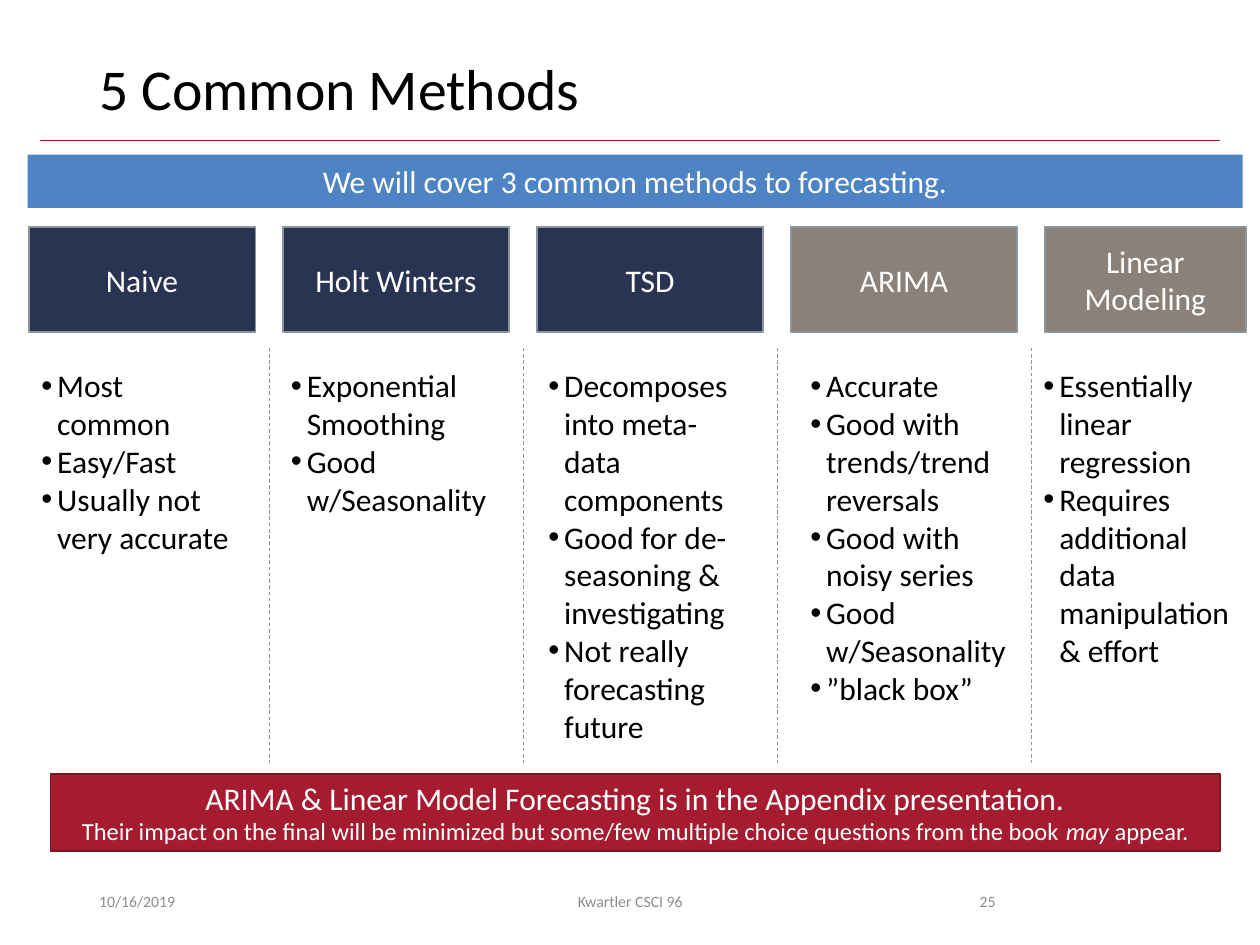
from copy import deepcopy
from dataclasses import dataclass

from lxml import etree
from pptx import Presentation
from pptx.dml.color import RGBColor
from pptx.enum.dml import MSO_LINE
from pptx.enum.shapes import MSO_CONNECTOR, MSO_SHAPE
from pptx.enum.text import MSO_ANCHOR, MSO_AUTO_SIZE, PP_ALIGN
from pptx.oxml.ns import qn
from pptx.util import Cm, Pt

LEFT, CENTER, RIGHT = PP_ALIGN.LEFT, PP_ALIGN.CENTER, PP_ALIGN.RIGHT
MIDDLE, TOP = MSO_ANCHOR.MIDDLE, MSO_ANCHOR.TOP
GROW, NO_FIT = MSO_AUTO_SIZE.SHAPE_TO_FIT_TEXT, MSO_AUTO_SIZE.NONE
DASH = MSO_LINE.DASH
RECT, STRAIGHT = MSO_SHAPE.RECTANGLE, MSO_CONNECTOR.STRAIGHT
TITLE_AND_CONTENT = 1


@dataclass(frozen=True)
class Theme:
    font: str = "Calibri"
    black: str = "000000"
    white: str = "FFFFFF"
    blue: str = "4E84C4"
    navy: str = "293352"
    taupe: str = "8C8179"
    steel: str = "8996A0"
    crimson: str = "A51C30"
    dark_crimson: str = "7A1524"
    muted: str = "8C8C8C"
    title: float = 33
    body: float = 18
    note: float = 14
    footer: float = 9


T = Theme()

# Column grid, in centimetres
COL_LEFT, COL_PITCH, COL_WIDTH = 0.58, 5.12, 4.57
LIST_WIDTH, LIST_TOP, BULLET_INDENT = 4.55, 7.26, 0.32
DIVIDER_LEFT = 5.43

# Heading, fill, heading width, list left, list height, bullets
METHODS = [
    ("Naive", T.navy, COL_WIDTH, 0.58, 4.88,
     ["Most common", "Easy/Fast", "Usually not very accurate"]),
    ("Holt Winters", T.navy, COL_WIDTH, 5.61, 3.33,
     ["Exponential Smoothing", "Good w/Seasonality"]),
    ("TSD", T.navy, COL_WIDTH, 10.8, 7.95,
     ["Decomposes into meta-data components",
      "Good for de-seasoning & investigating",
      "Not really forecasting future"]),
    ("ARIMA", T.taupe, COL_WIDTH, 16.08, 7.19,
     ["Accurate", "Good with trends/trend reversals",
      "Good with noisy series", "Good w/Seasonality", "”black box”"]),
    ("Linear Modeling", T.taupe, 4.06, 20.78, 6.4,
     ["Essentially linear regression",
      "Requires additional data manipulation & effort"]),
]

FOOTERS = [
    ("10/16/2019", 1.75, 5.72, LEFT),
    ("Kwartler CSCI 96", 8.41, 8.59, CENTER),
    ("25", 17.93, 2.39, RIGHT),
]


def rgb(color):
    return RGBColor.from_string(color)


def place(sp, left, top, width, height):
    sp.left, sp.top, sp.width, sp.height = map(Cm, (left, top, width, height))


def add_run(p, text, size, color, italic=None):
    r = p.add_run()
    r.text = text
    r.font.name = T.font
    r.font.size = Pt(size)
    r.font.color.rgb = rgb(color)
    r.font.italic = italic


def set_up_frame(sp, anchor, fit=NO_FIT):
    tf = sp.text_frame
    tf.word_wrap = True
    tf.auto_size = fit
    tf.vertical_anchor = anchor
    return tf


def set_bullet(p):
    pPr = p._p.get_or_add_pPr()
    pPr.set("marL", str(Cm(BULLET_INDENT)))
    pPr.set("indent", str(-Cm(BULLET_INDENT)))
    etree.SubElement(pPr, qn("a:buFont")).set("typeface", "Arial")
    etree.SubElement(pPr, qn("a:buChar")).set("char", "•")


def add_title(slide, text):
    sp = slide.shapes.title
    place(sp, 1.75, 1.02, 21.89, 1.65)
    p = set_up_frame(sp, MIDDLE).paragraphs[0]
    p.alignment = LEFT
    p.line_spacing = 0.9
    add_run(p, text, T.title, T.black)


def add_line(slide, x1, y1, x2, y2, color, dash=None):
    line = slide.shapes.add_connector(STRAIGHT, Cm(x1), Cm(y1), Cm(x2), Cm(y2))
    line.line.color.rgb = rgb(color)
    line.line.width = Pt(0.5)
    if dash:
        line.line.dash_style = dash
    etree.SubElement(line._element.spPr, qn("a:effectLst"))


def add_box(slide, box, fill, border, paragraphs):
    """Filled rectangle; each paragraph is a list of (text, size, italic) runs."""
    sp = slide.shapes.add_shape(RECT, *map(Cm, box))
    sp.shadow.inherit = False
    sp.fill.solid()
    sp.fill.fore_color.rgb = rgb(fill)
    if border:
        sp.line.color.rgb = rgb(border)
        sp.line.width = Pt(1)
    else:
        sp.line.fill.background()
    tf = set_up_frame(sp, MIDDLE)
    for i, runs in enumerate(paragraphs):
        p = tf.add_paragraph() if i else tf.paragraphs[0]
        p.alignment = CENTER
        for text, size, italic in runs:
            add_run(p, text, size, T.white, italic)


def make_bodies(slide, count):
    """Body placeholders, one per list, all based on the layout's body."""
    first = slide.placeholders[1]
    bodies = [first]
    for i in range(1, count):
        el = deepcopy(first.element)
        cNvPr = el.nvSpPr.cNvPr
        cNvPr.set("id", str(first.shape_id + i))
        cNvPr.set("name", f"Method List {i + 1}")
        slide.shapes.element.append(el)
        bodies.append(slide.shapes[-1])
    return bodies


def fill_list(sp, left, height, items):
    place(sp, left, LIST_TOP, LIST_WIDTH, height)
    tf = set_up_frame(sp, TOP, GROW)
    for i, item in enumerate(items):
        p = tf.add_paragraph() if i else tf.paragraphs[0]
        p.space_before = Pt(0)
        set_bullet(p)
        add_run(p, item, T.body, T.black)


def add_footer(slide, text, left, width, align):
    sp = slide.shapes.add_textbox(Cm(left), Cm(17.65), Cm(width), Cm(1.02))
    p = set_up_frame(sp, MIDDLE).paragraphs[0]
    p.alignment = align
    add_run(p, text, T.footer, T.muted)


def main():
    prs = Presentation()
    prs.slide_width, prs.slide_height = Cm(25.4), Cm(19.05)
    slide = prs.slides.add_slide(prs.slide_layouts[TITLE_AND_CONTENT])
    bodies = make_bodies(slide, len(METHODS))

    # Title, rule and introduction
    add_title(slide, "5 Common Methods")
    add_line(slide, 0.81, 2.84, 24.59, 2.84, T.crimson)
    add_box(slide, (0.56, 3.12, 24.49, 1.07), T.blue, None,
            [[("We will cover 3 common methods to forecasting.", T.body, None)]])

    # Method columns with dividers between them
    for i, (name, fill, width, left, height, items) in enumerate(METHODS):
        add_box(slide, (COL_LEFT + i * COL_PITCH, 4.57, width, 2.13),
                fill, T.steel, [[(name, T.body, None)]])
        fill_list(bodies[i], left, height, items)
        if i:
            x = DIVIDER_LEFT + (i - 1) * COL_PITCH
            add_line(slide, x, 7.01, x, 15.39, T.steel, DASH)

    # Appendix note
    add_box(slide, (1.02, 15.6, 23.57, 1.55), T.crimson, T.dark_crimson, [
        [("ARIMA & Linear Model Forecasting is in the Appendix presentation.",
          T.body, None)],
        [("Their impact on the final will be minimized but some/few multiple "
          "choice questions from the book ", T.note, None),
         ("may", T.note, True), (" appear.", T.note, None)],
    ])

    # Footer
    for footer in FOOTERS:
        add_footer(slide, *footer)

    prs.save("out.pptx")


if __name__ == "__main__":
    main()
